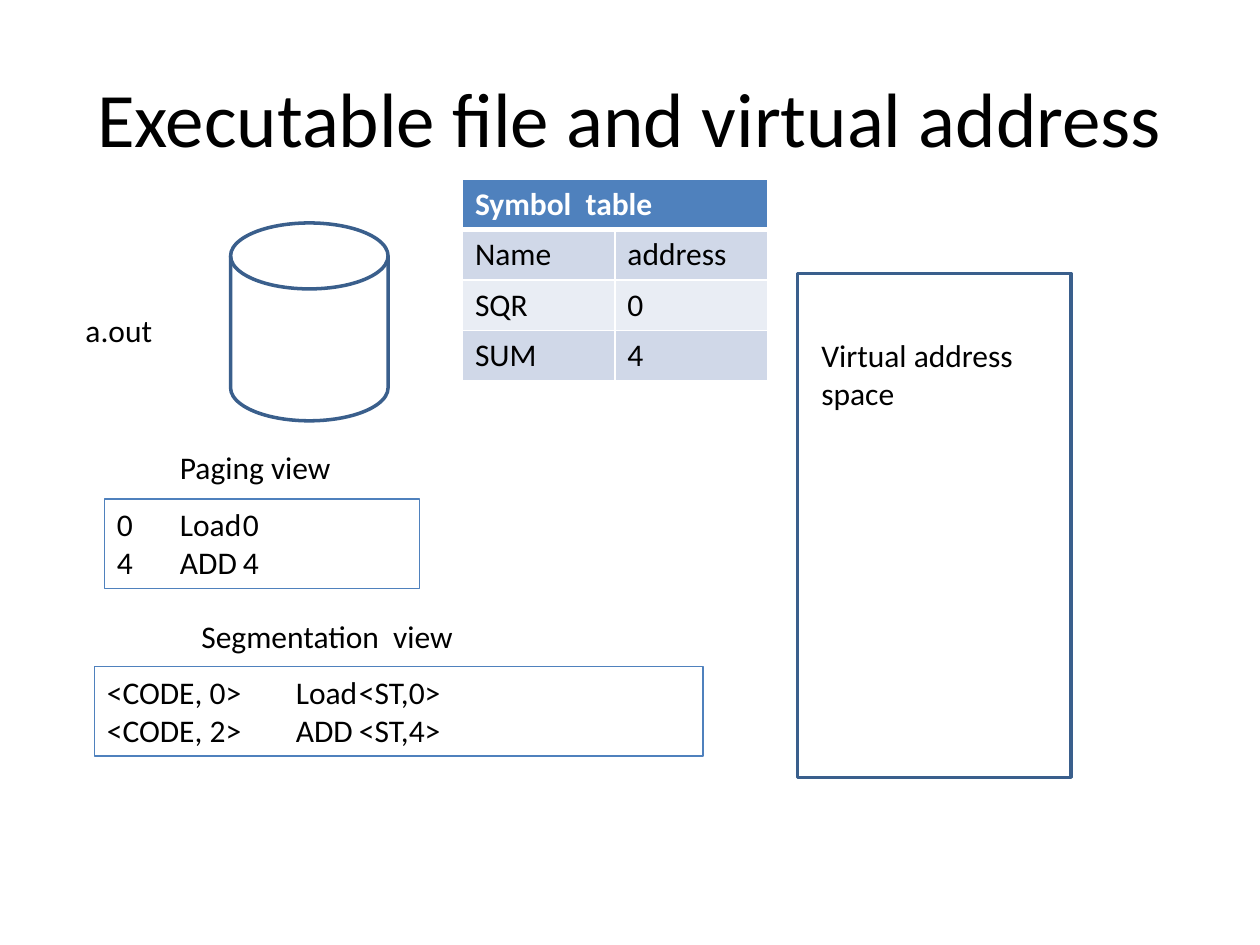
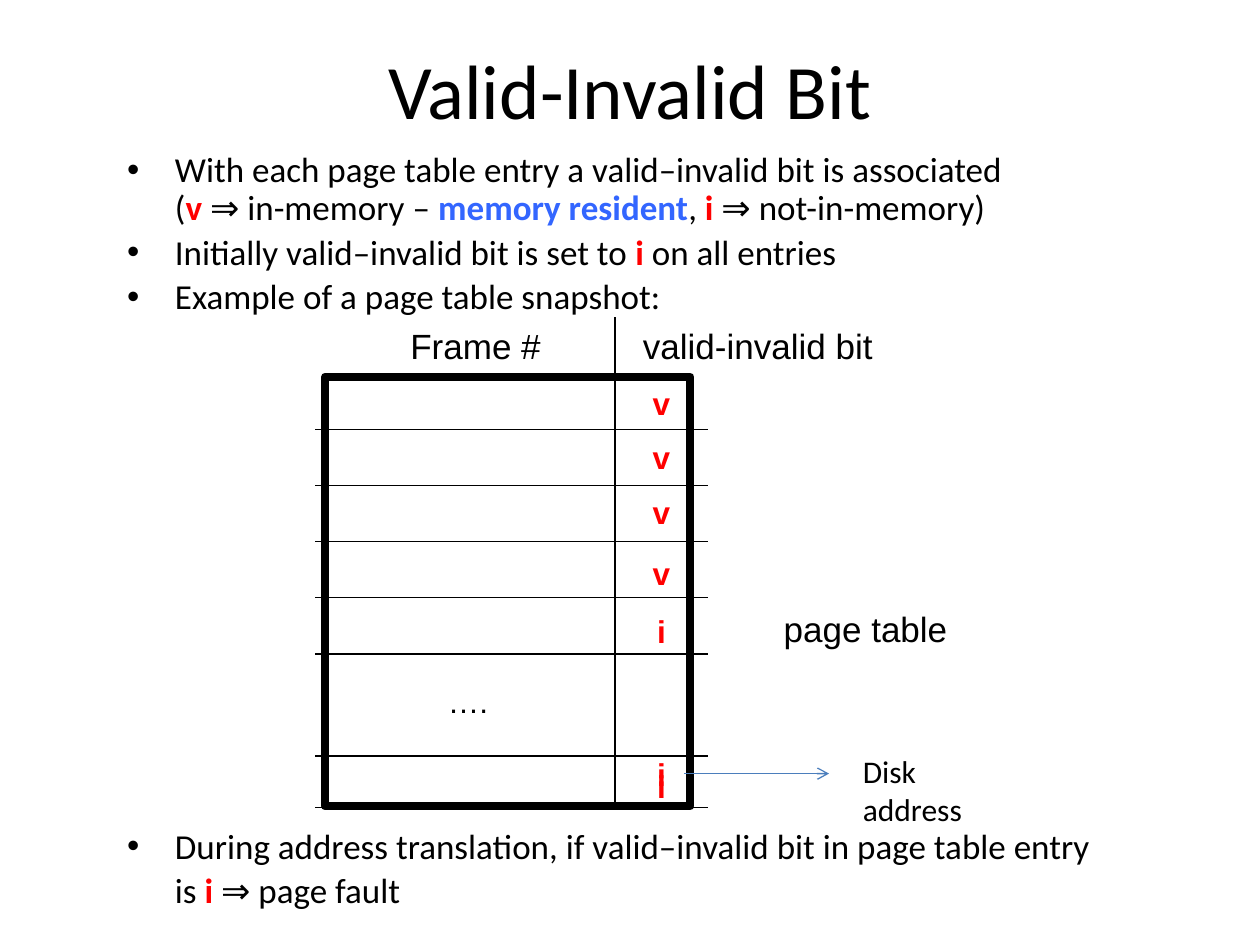
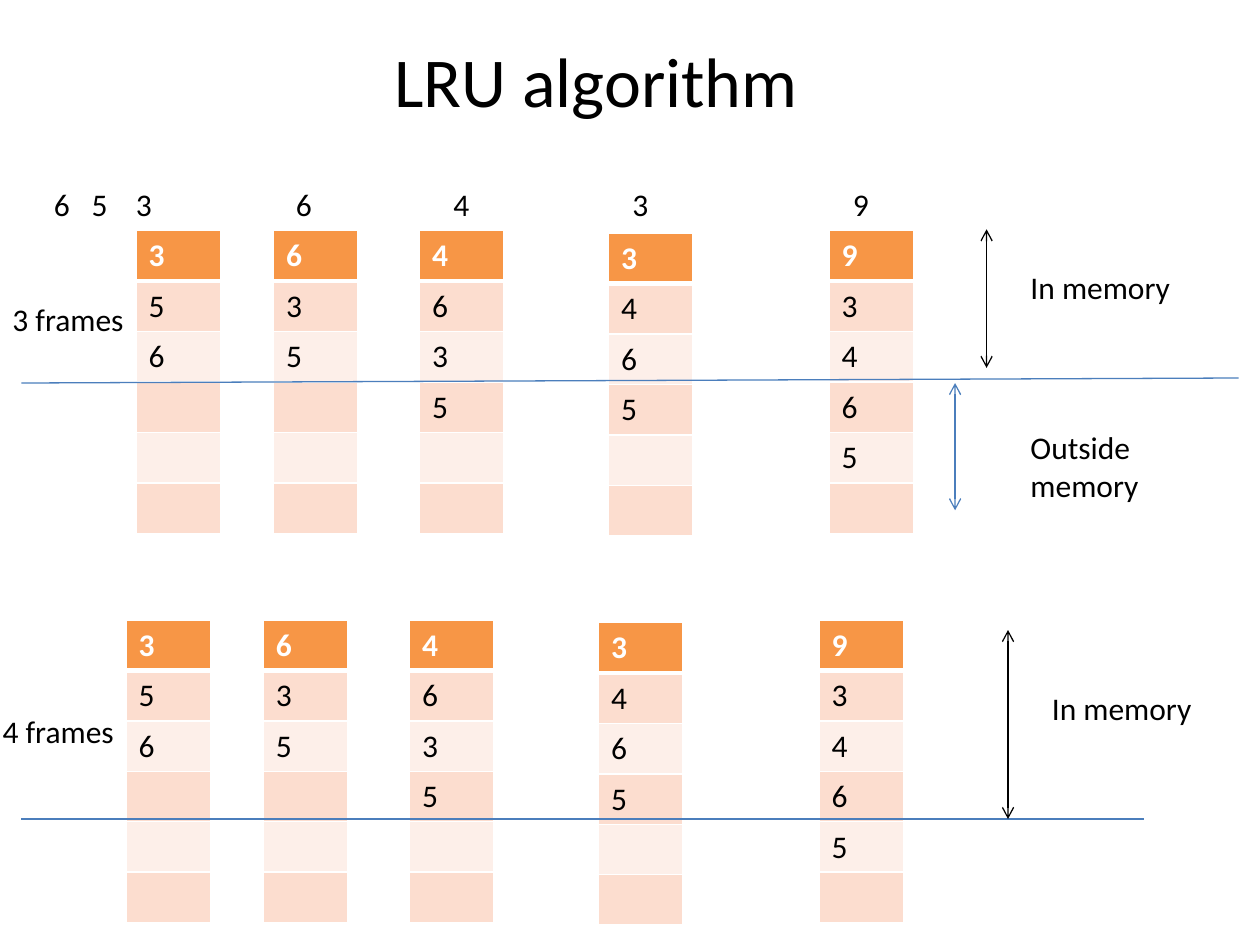
import pptx
import pptx.dml.color
import pptx.enum.shapes
import pptx.enum.text
import pptx.oxml.ns
import pptx.util
from lxml import etree

RGB = pptx.dml.color.RGBColor
SHAPE = pptx.enum.shapes.MSO_SHAPE
ALIGN = pptx.enum.text.PP_ALIGN
ANCHOR = pptx.enum.text.MSO_ANCHOR
Pt = pptx.util.Pt
qn = pptx.oxml.ns.qn

# Shared palette
BLACK = RGB(0x00, 0x00, 0x00)
WHITE = RGB(0xFF, 0xFF, 0xFF)
RED = RGB(0xFF, 0x00, 0x00)
LINK_BLUE = RGB(0x33, 0x66, 0xFF)
OUTLINE = RGB(0x3A, 0x5F, 0x8C)
ACCENT = RGB(0x4F, 0x81, 0xBD)
RULE_BLUE = RGB(0x4B, 0x7E, 0xBC)
BLUE_BANDS = (ACCENT, RGB(0xD0, 0xD8, 0xE8), RGB(0xE9, 0xED, 0xF4))
ORANGE_BANDS = (RGB(0xF7, 0x96, 0x46), RGB(0xFC, 0xDD, 0xCF), RGB(0xFD, 0xEF, 0xE9))

# The slide is a grid of 10 columns by 7.5 rows of square units
WIDTH, HEIGHT = pptx.util.Inches(10), pptx.util.Inches(7.5)
UNIT = WIDTH // 10
ROW_HEIGHT = 0.4

# Shared text formats
BODY = {"name": "Calibri", "size": Pt(18), "bold": False, "color": BLACK}
TITLE = BODY | {"size": Pt(44)}
BULLET = BODY | {"size": Pt(20)}
HEADER = BODY | {"bold": True, "color": WHITE}
DIAGRAM = BODY | {"name": "Arial"}
CAPTION = DIAGRAM | {"size": Pt(20)}
BIT = DIAGRAM | {"bold": True, "color": RED}
FLAG = {"bold": True, "color": RED}


def grid(*values):
    return [round(v * UNIT) for v in values]


def set_font(font, fmt):
    for key, value in fmt.items():
        if key == "color":
            font.color.rgb = value
        else:
            setattr(font, key, value)


def add_runs(p, runs, fmt):
    """Add (text, changes) pairs; a newline inside a text is a line break."""
    for text, changes in runs:
        for i, part in enumerate(text.split("\n")):
            if i:
                p.add_line_break()
            r = p.add_run()
            r.text = part
            set_font(r.font, fmt | changes)


def add_text(slide, box, lines, fmt=BODY, align=ALIGN.LEFT, anchor=ANCHOR.TOP,
             wrap=True, inset=(0.1, 0.05)):
    """Text box; each line is a string or a list of (text, changes) runs."""
    s = slide.shapes.add_textbox(*grid(*box))
    tf = s.text_frame
    side, edge = grid(*inset)
    frame = {"word_wrap": wrap, "vertical_anchor": anchor, "margin_left": side,
             "margin_right": side, "margin_top": edge, "margin_bottom": edge}
    for key, value in frame.items():
        setattr(tf, key, value)
    for i, line in enumerate([lines] if isinstance(lines, str) else lines):
        p = tf.add_paragraph() if i else tf.paragraphs[0]
        p.alignment = align
        add_runs(p, [(line, {})] if isinstance(line, str) else line, fmt)
    return s


def add_title(slide, text, box, fmt=TITLE):
    add_text(slide, box, text, fmt, ALIGN.CENTER, ANCHOR.MIDDLE)


def add_caption(slide, box, text, fmt=CAPTION):
    add_text(slide, box, text, fmt, ALIGN.CENTER, ANCHOR.MIDDLE, False, (0.14, 0.07))


def add_bullets(slide, box, lines, plain=()):
    """Hanging paragraphs, with a bullet unless their index is in plain."""
    s = add_text(slide, box, lines, BULLET)
    indent = grid(0.38)[0]
    for i, p in enumerate(s.text_frame.paragraphs):
        pPr = p._p.get_or_add_pPr()
        pPr.set("marL", str(indent))
        pPr.set("indent", str(0 if i in plain else -indent))
        if i not in plain:
            etree.SubElement(pPr, qn("a:buFont"), typeface="Arial")
            etree.SubElement(pPr, qn("a:buChar"), char="•")
        p.line_spacing = 0.9
        if i:
            p.space_before = Pt(4)


def add_outline(shape, color, width):
    shape.line.color.rgb = color
    shape.line.width = Pt(width)


def add_figure(slide, kind, box, color, width):
    s = slide.shapes.add_shape(kind, *grid(*box))
    s.shadow.inherit = False
    s.fill.solid()
    s.fill.fore_color.rgb = WHITE
    add_outline(s, color, width)


def add_line(slide, x1, y1, x2, y2, color=BLACK, arrows=()):
    """Thin line; arrows may name headEnd and tailEnd, in that order."""
    c = slide.shapes.add_connector(
        pptx.enum.shapes.MSO_CONNECTOR.STRAIGHT, *grid(x1, y1, x2, y2))
    add_outline(c, color, 0.75)
    spPr = c._element.spPr
    for end in arrows:
        etree.SubElement(spPr.find(qn("a:ln")), qn(f"a:{end}"), type="arrow")
    etree.SubElement(spPr, qn("a:effectLst"))


def add_borders(cell, bottom):
    tcPr = cell._tc.get_or_add_tcPr()
    for side, width in (("L", 1), ("R", 1), ("T", 1), ("B", bottom)):
        ln = etree.SubElement(tcPr, qn(f"a:ln{side}"), w=str(Pt(width)))
        fill = etree.SubElement(ln, qn("a:solidFill"))
        etree.SubElement(fill, qn("a:srgbClr"), val=str(WHITE))


def add_banded_table(slide, x, y, col_width, rows, bands):
    """Header row over two alternating bands; None leaves a cell empty."""
    n_cols = len(rows[-1])
    box = grid(x, y, col_width * n_cols, ROW_HEIGHT * len(rows))
    table = slide.shapes.add_table(len(rows), n_cols, *box).table
    for r, row in enumerate(rows):
        for c in range(n_cols):
            cell = table.cell(r, c)
            add_borders(cell, 1 if r else 3)
            cell.fill.solid()
            cell.fill.fore_color.rgb = bands[2 - r % 2] if r else bands[0]
            if c < len(row) and row[c] is not None:
                fmt = BODY if r else HEADER
                add_runs(cell.text_frame.paragraphs[0], [(str(row[c]), {})], fmt)
    if len(rows[0]) < n_cols:
        table.cell(0, 0).merge(table.cell(0, n_cols - 1))


def build_executable(slide):
    add_title(slide, "Executable file and virtual address", (0.5, 0.3, 9, 1.25))
    add_figure(slide, SHAPE.RECTANGLE, (6.33, 2.17, 2.17, 4), OUTLINE, 2)
    add_figure(slide, SHAPE.FLOWCHART_MAGNETIC_DISK, (1.83, 1.77, 1.25, 1.57), OUTLINE, 2)
    add_text(slide, (6.42, 2.62, 1.92, 0.71), "Virtual address space")
    add_text(slide, (0.58, 2.42, 1, 0.4), "a.out")
    symbols = [["Symbol  table"], ["Name", "address"], ["SQR", 0], ["SUM", 4]]
    add_banded_table(slide, 3.67, 1.42, 1.21, symbols, BLUE_BANDS)

    # Program listings under their headings
    add_text(slide, (1.33, 3.51, 1.74, 0.4), "Paging view")
    add_text(slide, (1.5, 4.85, 2.75, 0.4), "Segmentation  view")
    listings = [
        ((0.83, 3.96, 2.5, 0.71), ["0\tLoad\t0", "4\tADD\t4"]),
        ((0.75, 5.29, 4.83, 0.71),
         ["<CODE, 0>\tLoad\t<ST,0>", "<CODE, 2>\tADD\t<ST,4>"]),
    ]
    for box, lines in listings:
        add_outline(add_text(slide, box, lines), ACCENT, 0.75)


def build_valid_bit(slide):
    add_title(slide, "Valid-Invalid Bit", (0.5, 0.08, 9, 1.25))
    add_bullets(slide, (0.91, 1.16, 8.51, 1.4), [
        [("With each page table entry a valid–invalid bit is associated\n(", {}),
         ("v ", FLAG), ("⇒ in-memory – ", {}),
         ("memory resident", {"bold": True, "color": LINK_BLUE}), (", ", {}),
         ("i", FLAG), (" ⇒ not-in-memory)", {})],
        [("Initially valid–invalid bit is set to ", {}), ("i ", FLAG),
         ("on all entries", {})],
        "Example of a page table snapshot:",
    ])
    add_bullets(slide, (0.91, 6.53, 8.51, 0.8), [
        "During address translation, if valid–invalid bit in page table entry",
        [("is ", {}), ("i", FLAG), (" ⇒ page fault", {})],
    ], plain=(1,))

    # Page table frame and its rules
    add_figure(slide, SHAPE.RECTANGLE, (2.58, 2.99, 2.9, 3.41), BLACK, 4.5)
    first, last = 3.41, 5.19
    for y in [first + (last - first) * i / 4 for i in range(5)] + [6, 6.41]:
        add_line(slide, 2.5, y, 5.62, y)
    add_line(slide, 4.88, 2.52, 4.88, 6.41)

    # Bits and captions
    bits = zip("vvvviii", (2.97, 3.4, 3.84, 4.32, 4.78, 6.01, 5.92))
    for bit, y in bits:
        add_caption(slide, (5.03, y, 0.44, 0.45), bit, BIT)
    add_caption(slide, (3.41, 5.34, 0.61, 0.45), "….", DIAGRAM)
    add_caption(slide, (3.11, 2.5, 1.33, 0.48), "Frame #")
    add_caption(slide, (4.95, 2.5, 2.13, 0.48), "valid-invalid bit")
    add_caption(slide, (6.07, 4.75, 1.6, 0.48), "page table")
    add_line(slide, 5.43, 6.14, 6.58, 6.14, RULE_BLUE, ["tailEnd"])
    add_text(slide, (6.75, 5.92, 1.33, 0.71), "Disk address")


def lru_stacks(stack, references):
    """Stack after each reference, most recently used page first."""
    for page in references:
        stack = [page] + [old for old in stack if old != page]
        yield stack


def build_lru(slide):
    add_title(slide, "LRU algorithm", (0.67, 0.25, 8.12, 0.77),
              TITLE | {"size": Pt(40)})

    # One stack per reference, for each number of frames
    stack_x = (1.08, 2.17, 3.33, 4.83, 6.58)
    drops = (0, 0, 0, 0.02, 0)
    stacks = list(lru_stacks([5, 6], [3, 6, 4, 3, 9]))
    for shift, top in ((0, 1.83), (-0.08, 4.92)):
        for x, drop, stack in zip(stack_x, drops, stacks):
            rows = [[page] for page in stack + [None] * (6 - len(stack))]
            add_banded_table(slide, x + shift, top + drop, 0.67, rows, ORANGE_BANDS)

    # Reference string
    for x, page in zip((0.33, 0.63, 0.98, 2.25, 3.5, 4.92, 6.67), "6536439"):
        add_text(slide, (x, 1.42, 0.5, 0.4), page)

    # Memory boundaries and extents
    both = ["headEnd", "tailEnd"]
    add_line(slide, 0.17, 3.04, 9.83, 3, RULE_BLUE)
    add_line(slide, 0.17, 6.5, 9.08, 6.5, RULE_BLUE)
    add_line(slide, 7.83, 1.82, 7.83, 2.92, arrows=both)
    add_line(slide, 7.58, 3.04, 7.58, 4.05, RULE_BLUE, both)
    add_line(slide, 8, 5, 8, 6.5, arrows=both)
    add_text(slide, (8.08, 2.08, 1.42, 0.4), "In memory")
    add_text(slide, (8.08, 3.35, 1.42, 0.71), "Outside memory")
    add_text(slide, (8.25, 5.42, 1.42, 0.4), "In memory")
    add_text(slide, (0, 2.33, 1.5, 0.4), "3 frames")
    add_text(slide, (0, 5.6, 1.42, 0.4), "4 frames", inset=(0.02, 0.05))


def main():
    prs = pptx.Presentation()
    prs.slide_width, prs.slide_height = WIDTH, HEIGHT
    for build in (build_executable, build_valid_bit, build_lru):
        build(prs.slides.add_slide(prs.slide_layouts[6]))
    prs.save("out.pptx")


if __name__ == "__main__":
    main()
